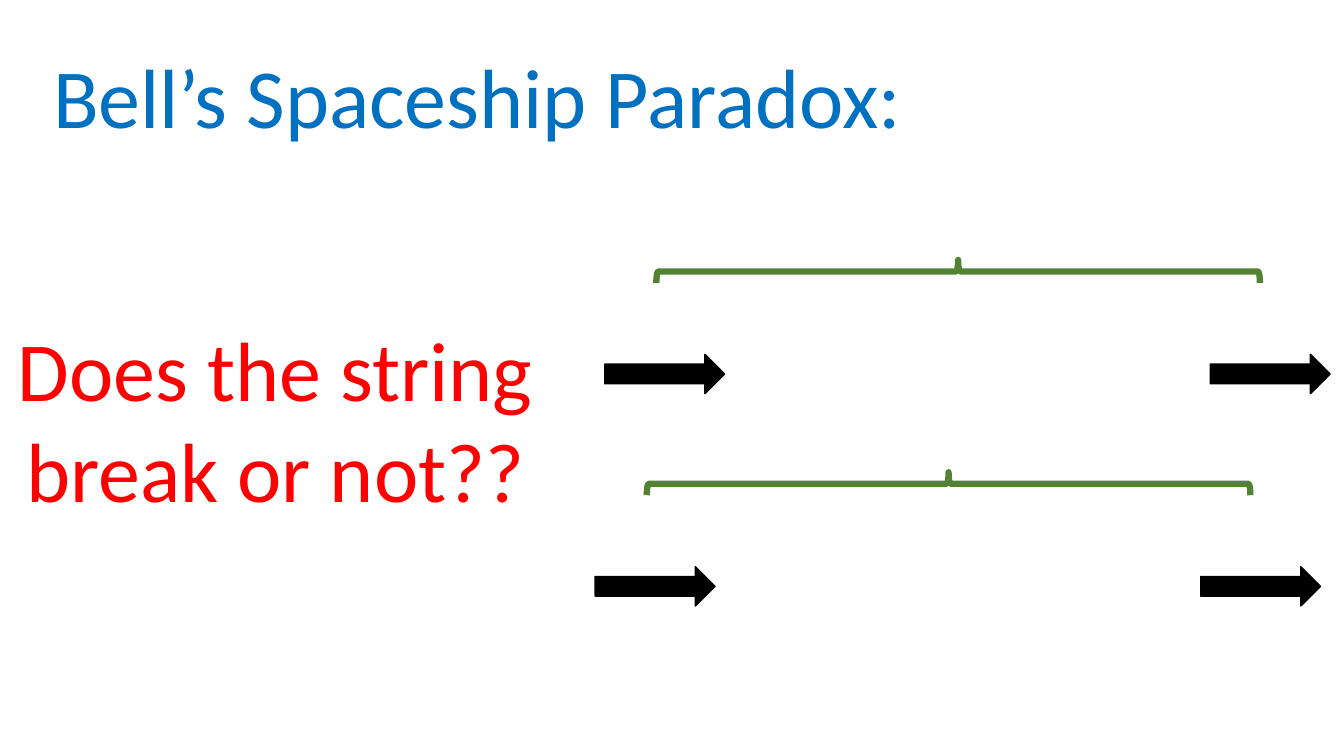
from dataclasses import dataclass

from pptx import Presentation
from pptx.dml.color import RGBColor
from pptx.enum.shapes import MSO_SHAPE
from pptx.enum.text import MSO_AUTO_SIZE, PP_ALIGN
from pptx.util import Cm, Pt

LEFT_BRACE = MSO_SHAPE.LEFT_BRACE
RIGHT_ARROW = MSO_SHAPE.RIGHT_ARROW
GROW = MSO_AUTO_SIZE.SHAPE_TO_FIT_TEXT
LEFT, CENTER = PP_ALIGN.LEFT, PP_ALIGN.CENTER


@dataclass(frozen=True)
class Theme:
    """Colours, font and sizes of the slide."""
    title: RGBColor = RGBColor(0x00, 0x70, 0xC0)
    question: RGBColor = RGBColor(0xFF, 0x00, 0x00)
    string: RGBColor = RGBColor(0x54, 0x82, 0x35)
    ship: RGBColor = RGBColor(0x00, 0x00, 0x00)
    font: str = "Calibri"
    text_size: Pt = Pt(60)
    string_width: Pt = Pt(4.5)
    ship_outline: Pt = Pt(1)


THEME = Theme()


def add_text(page, box, wording, color, alignment):
    """Place one large line of wrapping text in the box."""
    frame = page.shapes.add_textbox(*box).text_frame
    frame.word_wrap = True
    frame.auto_size = GROW
    para = frame.paragraphs[0]
    para.text = wording
    para.alignment = alignment
    para.font.name = THEME.font
    para.font.size = THEME.text_size
    para.font.color.rgb = color


def add_string(shapes, left, top, length, depth):
    """Draw the string as a brace that opens downwards."""
    brace = shapes.add_shape(
        LEFT_BRACE, left + (length - depth) // 2, top + (depth - length) // 2,
        depth, length)
    brace.rotation = 90
    brace.shadow.inherit = False
    brace.fill.background()
    brace.line.color.rgb = THEME.string
    brace.line.width = THEME.string_width


def add_ship(shapes, left, top, width, height):
    """Draw one spaceship as a solid arrow."""
    ship = shapes.add_shape(RIGHT_ARROW, left, top, width, height)
    ship.shadow.inherit = False
    ship.fill.solid()
    ship.fill.fore_color.rgb = THEME.ship
    ship.line.color.rgb = THEME.ship
    ship.line.width = THEME.ship_outline


def add_ship_pair(page, box):
    """Group two ships at the foot of the box under their string."""
    left, top, width, height = box
    ship_width, ship_height = Cm(3.02), Cm(0.99)
    shapes = page.shapes.add_group_shape().shapes
    add_string(shapes, left + Cm(1.3), top, Cm(15.21), Cm(0.58))
    for ship_left in (left, left + width - ship_width):
        add_ship(shapes, ship_left, top + height - ship_height,
                 ship_width, ship_height)


def build_paradox_slide(deck):
    """Add the slide with title, question and two ship pairs."""
    page = deck.slides.add_slide(deck.slide_layouts[6])
    add_text(page, (Cm(1.09), Cm(0.99), Cm(29.72), Cm(2.82)),
             "Bell’s Spaceship Paradox:", THEME.title, LEFT)
    add_text(page, (Cm(0.03), Cm(7.87), Cm(13.82), Cm(5.38)),
             "Does the string break or not??", THEME.question, CENTER)
    for left, top in ((Cm(15.24), Cm(6.55)), (Cm(15), Cm(11.9))):
        add_ship_pair(page, (left, top, Cm(18.28), Cm(3.37)))


def main():
    """Build and save the deck."""
    deck = Presentation()
    deck.slide_width, deck.slide_height = Cm(33.87), Cm(19.05)
    build_paradox_slide(deck)
    deck.save("out.pptx")


if __name__ == "__main__":
    main()
